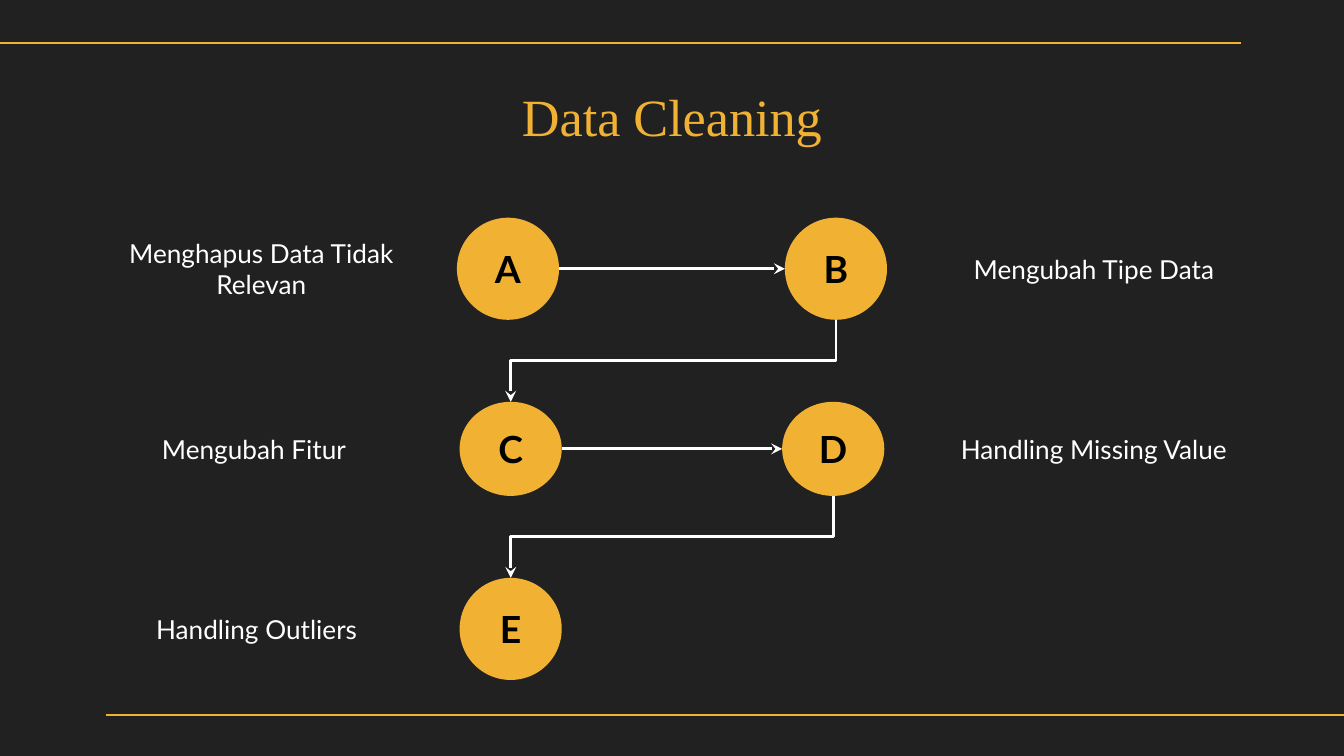
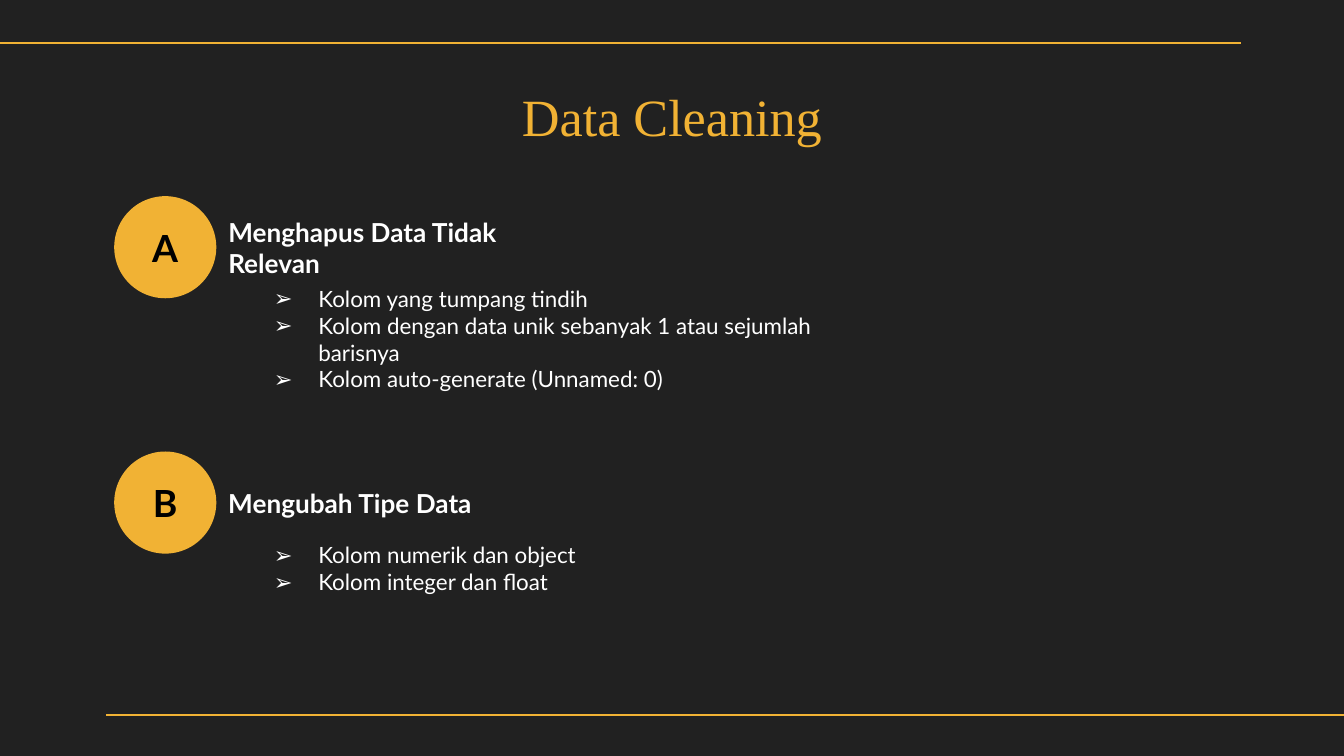
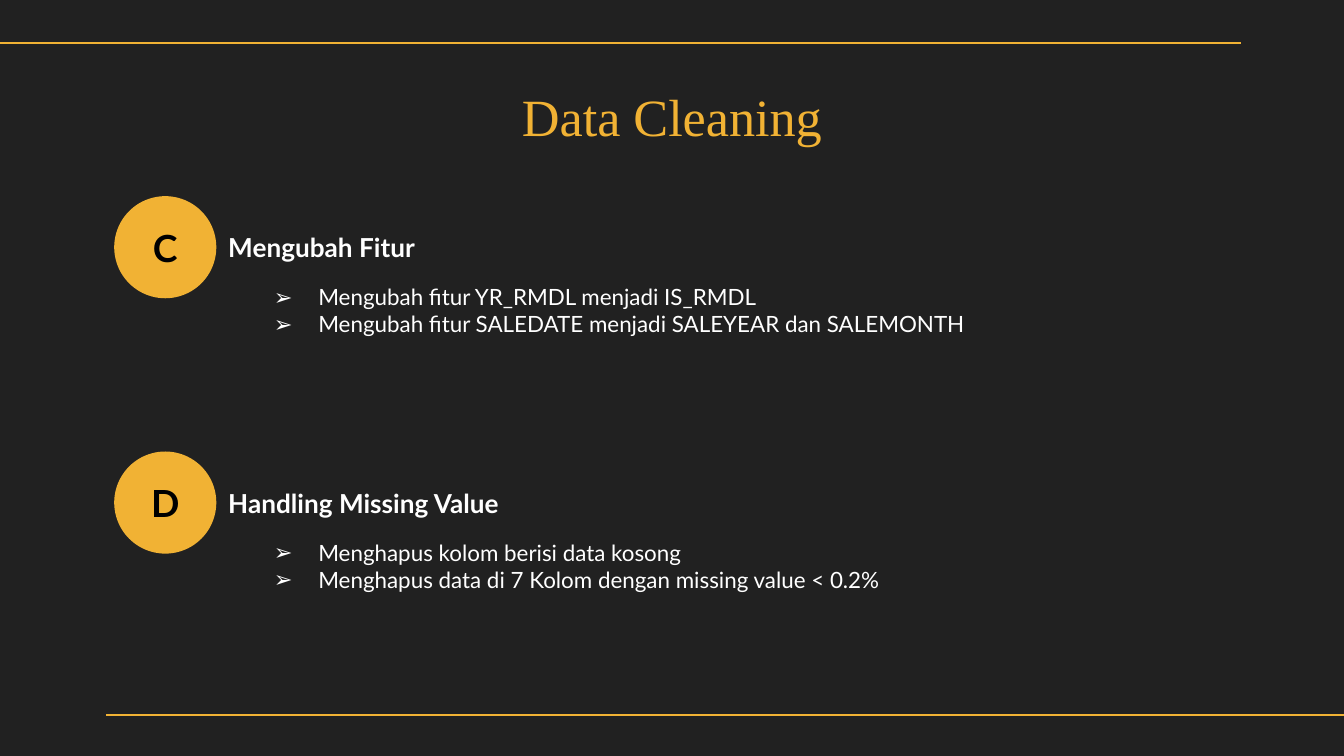
from dataclasses import dataclass

from lxml import etree
from pptx import Presentation
from pptx import util as u
from pptx.dml.color import RGBColor
from pptx.enum import shapes, text
from pptx.oxml import ns

COLORS = {
    "background": "212121",
    "accent": "F1B234",
    "text": "FFFFFF",
    "letter": "000000",
}
BODY_FONT = "Lato"
TITLE_FONT = "Times New Roman"
TITLE = "Data Cleaning"
SLIDE_WIDTH = u.Inches(10)
SLIDE_HEIGHT = SLIDE_WIDTH * 9 // 16
INSET = 0.1
LINE_WIDTH = 1.5
BADGE_SIZE = 0.76
LABEL_HEIGHT = 0.59
BULLET = "➢"
BULLET_MARGIN = 0.5
BULLET_INDENT = -0.33


@dataclass(frozen=True)
class Badge:
    letter: str
    left: float
    top: float
    height: float = BADGE_SIZE

    @property
    def right(self) -> float:
        return self.left + BADGE_SIZE

    @property
    def bottom(self) -> float:
        return self.top + self.height

    @property
    def center_x(self) -> float:
        return self.left + BADGE_SIZE / 2

    @property
    def center_y(self) -> float:
        return self.top + self.height / 2


@dataclass(frozen=True)
class Step:
    badge: Badge
    label: str
    label_left: float
    label_width: float


@dataclass(frozen=True)
class Section:
    letter: str
    heading: str
    bullets: tuple[str, ...]
    bullets_top: float
    bullets_width: float
    bullets_height: float
    heading_width: float = 2.5


STEPS = (
    Step(Badge("A", 3.4, 1.62), "Menghapus Data Tidak Relevan", 0.73, 2.43),
    Step(Badge("B", 5.84, 1.62), "Mengubah Tipe Data", 7.12, 2.04),
    Step(Badge("C", 3.42, 2.99, 0.7), "Mengubah Fitur", 0.87, 2.04),
    Step(Badge("D", 5.82, 2.99, 0.7), "Handling Missing Value", 7.03, 2.22),
    Step(Badge("E", 3.42, 4.3), "Handling Outliers", 0.8, 2.22),
)

SECTION_TOPS = (1.46, 3.36)
SECTION_SLIDES = (
    (
        Section("A", "Menghapus Data Tidak Relevan", (
            "Kolom yang tumpang tindih",
            "Kolom dengan data unik sebanyak 1 atau sejumlah barisnya",
            "Kolom auto-generate (Unnamed: 0)",
        ), 2.02, 4.82, 0.84, 2.78),
        Section("B", "Mengubah Tipe Data", (
            "Kolom numerik dan object",
            "Kolom integer dan float",
        ), 3.93, 5.43, 0.59),
    ),
    (
        Section("C", "Mengubah Fitur", (
            "Mengubah fitur YR_RMDL menjadi IS_RMDL",
            "Mengubah fitur SALEDATE menjadi SALEYEAR dan SALEMONTH",
        ), 2.01, 6.51, 0.52),
        Section("D", "Handling Missing Value", (
            "Menghapus kolom berisi data kosong",
            "Menghapus data di 7 Kolom dengan missing value < 0.2%",
        ), 3.91, 5.71, 1.02),
    ),
)


def color(name: str) -> RGBColor:
    return RGBColor.from_string(COLORS[name])


# Text helpers
def prepare_frame(shape, anchor=text.MSO_ANCHOR.MIDDLE):
    frame = shape.text_frame
    frame.word_wrap = True
    frame.vertical_anchor = anchor
    frame.margin_left = frame.margin_right = u.Inches(INSET)
    frame.margin_top = frame.margin_bottom = u.Inches(INSET)
    return frame


def add_run(paragraph, content: str, size: int, color_name: str = "text",
            font: str = BODY_FONT, bold: bool = False) -> None:
    run = paragraph.add_run()
    run.text = content
    run.font.name = font
    run.font.size = u.Pt(size)
    run.font.bold = bold
    run.font.color.rgb = color(color_name)


def add_text_box(slide, left: float, top: float, width: float, height: float,
                 anchor=text.MSO_ANCHOR.MIDDLE):
    box = slide.shapes.add_textbox(
        u.Inches(left), u.Inches(top), u.Inches(width), u.Inches(height))
    return prepare_frame(box, anchor)


def add_label(slide, content: str, left: float, center_y: float, width: float,
              align=text.PP_ALIGN.CENTER, bold: bool = False) -> None:
    frame = add_text_box(
        slide, left, center_y - LABEL_HEIGHT / 2, width, LABEL_HEIGHT)
    paragraph = frame.paragraphs[0]
    paragraph.alignment = align
    add_run(paragraph, content, 14, bold=bold)


def set_bullet(paragraph) -> None:
    properties = paragraph._p.get_or_add_pPr()
    properties.set("marL", str(u.Inches(BULLET_MARGIN)))
    properties.set("indent", str(u.Inches(BULLET_INDENT)))
    bullet_color = etree.SubElement(properties, ns.qn("a:buClr"))
    etree.SubElement(bullet_color, ns.qn("a:srgbClr"), val=COLORS["text"])
    etree.SubElement(properties, ns.qn("a:buFont"), typeface=BODY_FONT)
    etree.SubElement(properties, ns.qn("a:buChar"), char=BULLET)


# Lines, arrows and badges
def add_line(slide, kind, color_name: str, start: tuple[float, float],
             end: tuple[float, float]):
    connector = slide.shapes.add_connector(
        kind, *(u.Inches(value) for value in (*start, *end)))
    connector.line.color.rgb = color(color_name)
    connector.line.width = u.Pt(LINE_WIDTH)
    etree.SubElement(connector.element.spPr, ns.qn("a:effectLst"))
    return connector


def add_arrow(slide, start: tuple[float, float], end: tuple[float, float]):
    connector = add_line(
        slide, shapes.MSO_CONNECTOR.ELBOW, "text", start, end)
    etree.SubElement(
        connector.line._get_or_add_ln(), ns.qn("a:tailEnd"), type="stealth")
    return connector


def add_arrow_across(slide, source: Badge, target: Badge) -> None:
    add_arrow(slide, (source.right, source.center_y),
              (target.left, source.center_y))


def add_arrow_down(slide, source: Badge, target: Badge) -> None:
    # The elbow is laid out sideways and turned by 90 degrees
    middle_x = (source.center_x + target.center_x) / 2
    middle_y = (source.bottom + target.top) / 2
    half_drop = (target.top - source.bottom) / 2
    half_span = (source.center_x - target.center_x) / 2
    connector = add_arrow(
        slide, (middle_x - half_drop, middle_y - half_span),
        (middle_x + half_drop, middle_y + half_span))
    connector.element.spPr.find(ns.qn("a:xfrm")).set("rot", str(90 * 60000))


def add_badge(slide, badge: Badge) -> None:
    shape = slide.shapes.add_shape(
        shapes.MSO_SHAPE.OVAL, u.Inches(badge.left), u.Inches(badge.top),
        u.Inches(BADGE_SIZE), u.Inches(badge.height))
    shape.shadow.inherit = False
    shape.fill.solid()
    shape.fill.fore_color.rgb = color("accent")
    shape.line.fill.background()
    paragraph = prepare_frame(shape).paragraphs[0]
    paragraph.alignment = text.PP_ALIGN.CENTER
    add_run(paragraph, badge.letter, 20, "letter", bold=True)


# Slides
def add_base_slide(presentation):
    slide = presentation.slides.add_slide(presentation.slide_layouts[6])
    straight = shapes.MSO_CONNECTOR.STRAIGHT
    add_line(slide, straight, "accent", (-0.01, 0.32), (9.23, 0.32))
    add_line(slide, straight, "accent", (0.79, 5.32), (10.01, 5.32))
    paragraph = add_text_box(slide, 0.78, 0.6, 8.44, 0.52).paragraphs[0]
    paragraph.alignment = text.PP_ALIGN.CENTER
    add_run(paragraph, TITLE, 28, "accent", TITLE_FONT)
    return slide


def add_overview_slide(presentation) -> None:
    slide = add_base_slide(presentation)
    for step in STEPS:
        add_badge(slide, step.badge)
        add_label(slide, step.label, step.label_left, step.badge.center_y,
                  step.label_width)
    # Arrows run across each row, then down to the next
    for index, (source, target) in enumerate(zip(STEPS, STEPS[1:])):
        draw_arrow = add_arrow_down if index % 2 else add_arrow_across
        draw_arrow(slide, source.badge, target.badge)


def add_section(slide, section: Section, top: float) -> None:
    badge = Badge(section.letter, 0.85, top)
    add_badge(slide, badge)
    add_label(slide, section.heading, 1.6, badge.center_y,
              section.heading_width, text.PP_ALIGN.LEFT, bold=True)
    frame = add_text_box(
        slide, 1.77, section.bullets_top, section.bullets_width,
        section.bullets_height, text.MSO_ANCHOR.TOP)
    for index, bullet in enumerate(section.bullets):
        paragraph = frame.add_paragraph() if index else frame.paragraphs[0]
        set_bullet(paragraph)
        add_run(paragraph, bullet, 12)


def main() -> None:
    presentation = Presentation()
    presentation.slide_width = SLIDE_WIDTH
    presentation.slide_height = SLIDE_HEIGHT
    background = presentation.slide_master.background.fill
    background.solid()
    background.fore_color.rgb = color("background")

    add_overview_slide(presentation)
    for sections in SECTION_SLIDES:
        slide = add_base_slide(presentation)
        for section, top in zip(sections, SECTION_TOPS):
            add_section(slide, section, top)
    presentation.save("out.pptx")


if __name__ == "__main__":
    main()
